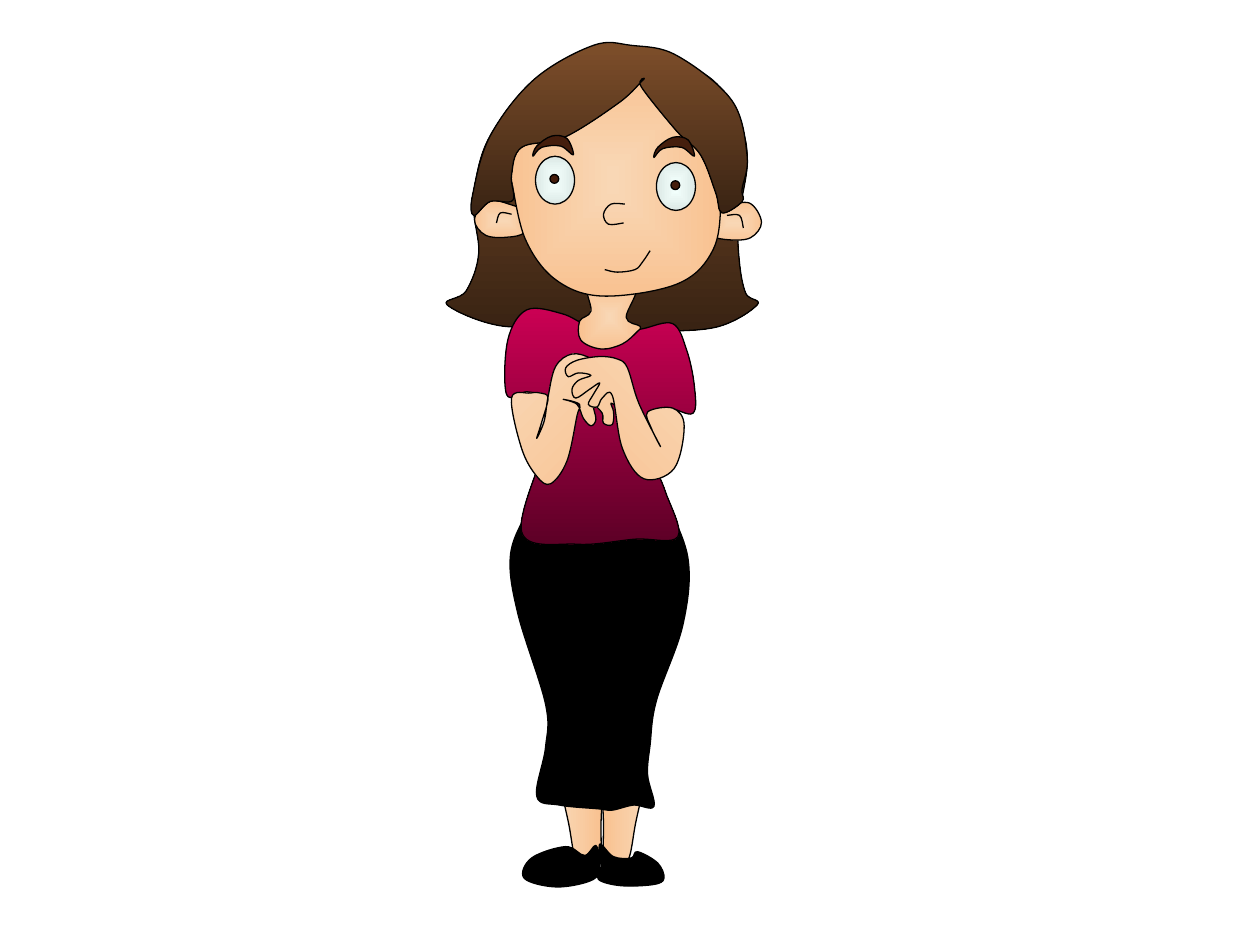
from dataclasses import dataclass

from pptx import Presentation
from pptx import util as u
from pptx.dml.color import RGBColor
from pptx.enum import shapes as kinds
from pptx.oxml.ns import qn

GRID = u.Pt(0.72)  # one drawing unit; the slide is 1000 x 750 units


@dataclass(frozen=True)
class Theme:
    ink: str = "000000"
    brown: str = "451E0D"
    hair: tuple = ("7D4E2A", "392313")
    blouse: tuple = ("CA0053", "5D0026")
    skin: tuple = ("F9D7B5", "F9C291")
    eye: tuple = ("F2FFFC", "DDE9E6")
    outline: float = 0.75


class Figure:
    def __init__(self, slide, theme):
        self.slide, self.theme = slide, theme

    def outline(self, points, fill=None, angle=None, rotation=0, closed=True):
        """Draw a smooth curve through the points; without a fill colour it stays hollow."""
        route = [(x * GRID, y * GRID) for x, y in points]
        if closed:
            route.append(route[0])
        builder = self.slide.shapes.build_freeform(*route[0])
        builder.add_line_segments(route[1:], close=closed)
        part = builder.convert_to_shape()
        self._smooth(part, closed)
        self._style(part, fill, angle, rotation)

    def stroke(self, points):
        self.outline(points, closed=False)

    def oval(self, left, top, width, height, fill):
        box = [round(GRID * n) for n in (left, top, width, height)]
        part = self.slide.shapes.add_shape(kinds.MSO_SHAPE.OVAL, *box)
        self._style(part, fill)

    def _smooth(self, part, closed):
        """Turn straight segments into Catmull-Rom curves, written as cubic Béziers."""
        points = [(int(p.get("x")), int(p.get("y")))
                  for p in part._element.xpath(".//a:pathLst//a:pt")]
        before = points[-2] if closed else points[0]
        after = points[1] if closed else points[-1]
        run = [before, *points, after]
        segments = part._element.xpath(".//a:lnTo")
        for segment, p0, p1, p2, p3 in zip(segments, run, run[1:], run[2:], run[3:]):
            leaving = [b + (c - a) / 6 for a, b, c in zip(p0, p1, p2)]
            arriving = [b - (c - a) / 6 for a, b, c in zip(p1, p2, p3)]
            segment.tag = qn("a:cubicBezTo")
            for place, (x, y) in enumerate((leaving, arriving)):
                handle = {"x": str(round(x)), "y": str(round(y))}
                segment.insert(place, segment.makeelement(qn("a:pt"), handle))

    def _style(self, part, fill, angle=None, rotation=0):
        part.line.fill.solid()
        formats = (
            (part, {"rotation": rotation}),
            (part.shadow, {"inherit": False}),
            (part.line, {"width": u.Pt(self.theme.outline)}),
            (part.line.color, {"rgb": RGBColor.from_string(self.theme.ink)}),
        )
        for target, values in formats:
            for name, value in values.items():
                setattr(target, name, value)
        if fill is None:
            part.fill.background()
        elif isinstance(fill, str):
            part.fill.solid()
            part.fill.fore_color.rgb = RGBColor.from_string(fill)
        else:
            self._blend(part, fill, angle)

    def _blend(self, part, colors, angle):
        """Fill with a clockwise linear gradient, or one from the centre if no angle is given."""
        part.fill.gradient()
        for stop, color, position in zip(part.fill.gradient_stops, colors, (0, 1)):
            stop.color.rgb = RGBColor.from_string(color)
            stop.position = position
        if angle is not None:
            part.fill.gradient_angle = 360 - angle
            return
        linear = part._element.xpath("./p:spPr/a:gradFill/a:lin")[0]
        centred = linear.makeelement(qn("a:path"), {"path": "rect"})
        centre = {side: "50000" for side in "ltrb"}
        centred.append(centred.makeelement(qn("a:fillToRect"), centre))
        linear.getparent().replace(linear, centred)


def mirrored(points, total, dy):
    return [(total - x, y + dy) for x, y in points]


def shifted(points, dx, dy):
    return [(x + dx, y + dy) for x, y in points]


LEG = [(444, 601), (452, 657), (459, 686), (475, 683), (477, 656), (475, 601)]
SKIRT = [
    (518, 381), (486, 363), (436, 377), (417, 409), (405, 442), (411, 487), (433, 559),
    (433, 593), (426, 632), (444, 639), (475, 642), (486, 643), (503, 639), (519, 640),
    (514, 615), (516, 591), (521, 556), (542, 496), (546, 443), (527, 395)]
LEFT_SHOE = [
    (449, 672), (422, 681), (416, 697), (442, 704), (471, 698), (476, 685), (473, 671),
    (464, 679)]
RIGHT_SHOE = [
    (476, 670), (487, 680), (501, 681), (506, 676), (522, 685), (527, 697), (519, 702),
    (493, 703), (475, 698), (477, 688)]
SKIRT_FOLDS = [
    [(458, 456), (478, 461), (495, 459)],
    [(478, 459), (480, 507), (478, 605)]]
BACK_HAIR = [
    (515, 40), (491, 39), (430, 62), (389, 108), (376, 158), (380, 201), (370, 231),
    (355, 242), (400, 259), (462, 255), (508, 262), (567, 260), (601, 242), (592, 233),
    (587, 209), (586, 175), (593, 131), (588, 100), (565, 63)]
BLOUSE = [
    (490, 265), (467, 259), (446, 249), (418, 246), (403, 270), (402, 313), (418, 311),
    (431, 314), (436, 318), (436, 344), (414, 422), (458, 432), (504, 428), (538, 426),
    (528, 390), (517, 362), (513, 331), (530, 324), (550, 328), (551, 306), (545, 278),
    (534, 257), (510, 261)]
NECK = [
    (468, 226), (469, 247), (460, 255), (461, 270), (477, 277), (494, 273), (506, 263),
    (508, 259), (497, 252), (504, 227)]
EAR = [
    (416, 165), (402, 161), (383, 162), (377, 179), (388, 189), (405, 187), (418, 180)]
FACE = [
    (406, 144), (417, 190), (441, 222), (478, 235), (536, 226), (564, 202), (572, 164),
    (569, 89), (517, 51), (448, 60), (412, 97), (401, 140), (407, 152)]
FRINGE = [
    (511, 63), (492, 81), (448, 109), (414, 117), (406, 139), (407, 159), (389, 160),
    (376, 171), (375, 155), (389, 108), (424, 63), (471, 36), (501, 36), (537, 44),
    (581, 80), (593, 124), (589, 150), (589, 160), (573, 169), (568, 153), (556, 123),
    (537, 104), (509, 69)]
LEFT_ARM = [
    (406, 316), (414, 356), (426, 378), (437, 384), (450, 366), (458, 330), (460, 321),
    (447, 317), (458, 321), (463, 332), (469, 338), (473, 333), (471, 322), (478, 328),
    (479, 336), (486, 337), (487, 327), (485, 320), (493, 326), (497, 334), (504, 329),
    (494, 315), (484, 297), (470, 285), (454, 281), (441, 291), (435, 315), (432, 334),
    (426, 348), (430, 335), (435, 316), (429, 312), (421, 312)]
RIGHT_ARM = [
    (514, 327), (534, 324), (543, 338), (535, 372), (511, 380), (494, 356), (486, 314),
    (478, 316), (474, 323), (467, 321), (471, 313), (476, 304), (468, 309), (457, 316),
    (454, 309), (459, 302), (469, 298), (459, 296), (451, 299), (449, 292), (458, 286),
    (476, 283), (490, 285), (498, 292), (507, 320), (524, 354), (517, 340)]
EYEBROW = [
    (423, 124), (430, 117), (445, 116), (455, 123), (450, 110), (438, 108), (426, 116)]
NOSE = [(496, 162), (485, 162), (479, 170), (483, 178), (495, 177)]
SMILE = [(480, 214), (490, 216), (504, 214), (510, 208), (516, 199)]
EAR_FOLDS = [
    [(406, 170), (397, 169), (394, 177)],
    [(577, 171), (587, 171), (590, 181)]]


def main():
    deck = Presentation()
    deck.slide_width, deck.slide_height = u.Pt(720), u.Pt(540)
    theme = Theme()
    woman = Figure(deck.slides.add_slide(deck.slide_layouts[6]), theme)
    skin, shaded_skin = theme.skin, theme.skin[::-1]

    woman.outline(LEG, shaded_skin, 180)
    woman.outline(mirrored(LEG, 956, -1), skin, 180)
    for garment in (SKIRT, LEFT_SHOE, RIGHT_SHOE):
        woman.outline(garment, theme.ink)
    for fold in SKIRT_FOLDS:
        woman.stroke(fold)

    woman.outline(BACK_HAIR, theme.hair, 90)
    woman.outline(BLOUSE, theme.blouse, 90)
    woman.outline(NECK, skin)
    woman.outline(EAR, skin, rotation=12.3)
    woman.outline(mirrored(EAR, 981, 2), skin, rotation=347.6)
    woman.outline(FACE, skin)
    woman.outline(FRINGE, theme.hair, 90)
    woman.outline(LEFT_ARM, shaded_skin, 225)
    woman.outline(RIGHT_ARM, skin, 135)

    for left, top in ((521, 129), (425, 124)):
        woman.oval(left, top, 31, 38, theme.eye)
        woman.oval(left + 11.5, top + 14.5, 7, 7, theme.brown)
    woman.stroke(NOSE)
    for eyebrow in (EYEBROW, shifted(EYEBROW, 96, 1)):
        woman.outline(eyebrow, theme.brown)
    for crease in (SMILE, *EAR_FOLDS):
        woman.stroke(crease)
    deck.save("out.pptx")


if __name__ == "__main__":
    main()
